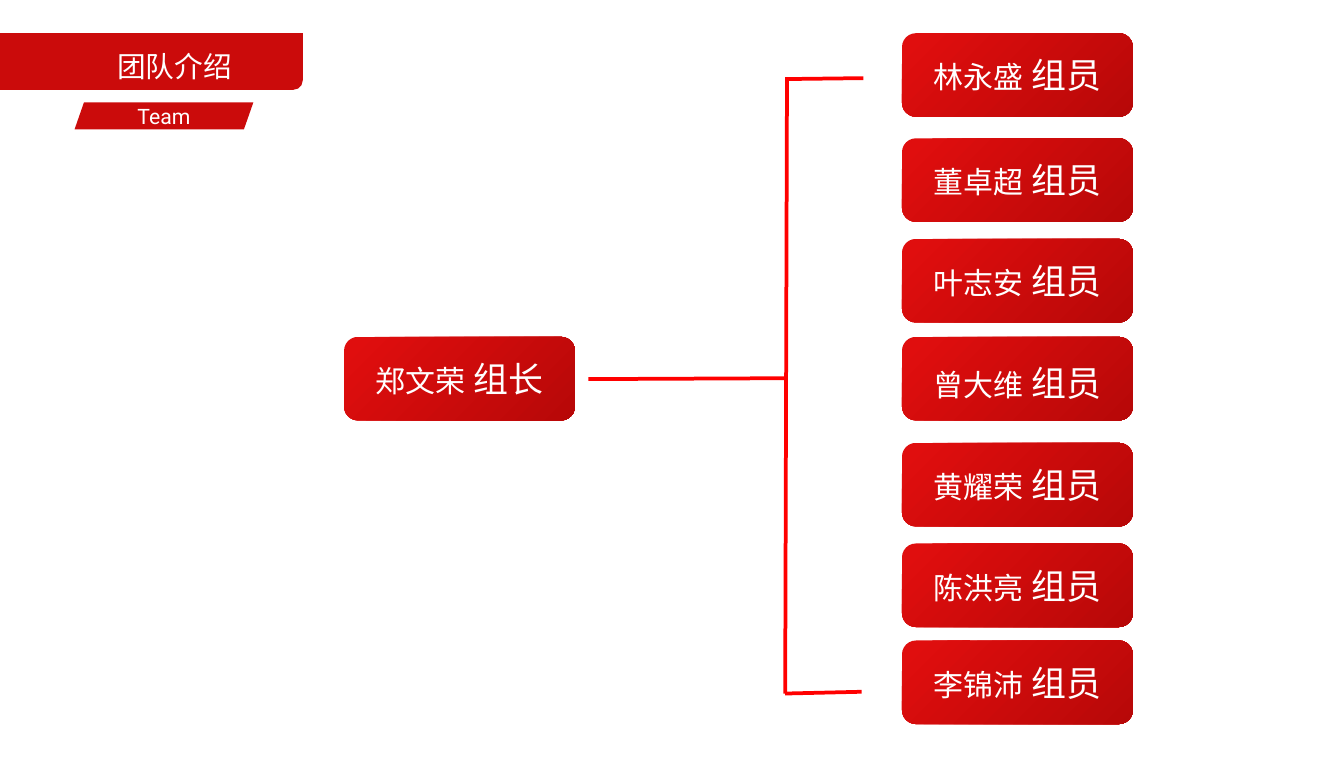
from lxml.etree import SubElement
from pptx import Presentation
from pptx.dml.color import RGBColor
from pptx.enum.shapes import MSO_CONNECTOR, MSO_SHAPE
from pptx.enum.text import MSO_ANCHOR, PP_ALIGN
from pptx.oxml.ns import qn
from pptx.util import Inches, Pt

WHITE = RGBColor(0xFF, 0xFF, 0xFF)
RED = RGBColor(0xCB, 0x0B, 0x0B)
LIGHT = RGBColor(0xE0, 0x0E, 0x0E)
DARK = RGBColor(0xB7, 0x08, 0x08)
BRIGHT = RGBColor(0xFF, 0x00, 0x00)
HAN = "Noto Sans CJK SC"
LATIN = "Roboto"


def write(para, text, size=24, font=HAN, color=WHITE):
    """Add one run of text in the given format."""
    run = para.add_run()
    run.text = text
    run.font.size = Pt(size)
    run.font.color.rgb = color
    run.font.name = font
    SubElement(run.font._element, qn("a:ea"), typeface=font)


class Board:
    """Holds the line style and the slide being built."""

    def __init__(self, slide, color=BRIGHT, width=3):
        self.slide = slide
        self.color = color
        self.width = Pt(width)

    def group(self):
        return self.slide.shapes.add_group_shape().shapes

    def shape(self, home, kind, box, fill=None):
        item = home.add_shape(kind, *map(Inches, box))
        item.shadow.inherit = False
        item.line.fill.background()
        if fill:
            item.fill.solid()
            item.fill.fore_color.rgb = fill
        else:
            item.fill.gradient()
            item.fill.gradient_angle = 315
            stops = zip(item.fill.gradient_stops, (LIGHT, DARK), (0.05, 1))
            for stop, color, place in stops:
                stop.color.rgb = color
                stop.position = place
        return item

    def text(self, home, box, *runs):
        frame = home.add_textbox(*map(Inches, box)).text_frame
        frame.word_wrap = True
        para = frame.paragraphs[0]
        para.alignment = PP_ALIGN.CENTER
        for words, size in runs:
            write(para, words, size=size)

    def card(self, left, top, name, role, drop=0.18):
        home = self.group()
        self.shape(home, MSO_SHAPE.FLOWCHART_ALTERNATE_PROCESS,
                   (left, top, 2.57, 0.93))
        self.text(home, (left + 0.13, top + drop, 2.31, 0.57),
                  (name, 24), (" " + role, 28))

    def line(self, home, start, end):
        item = home.add_connector(MSO_CONNECTOR.STRAIGHT,
                                  *map(Inches, start + end))
        item.line.color.rgb = self.color
        item.line.width = self.width
        SubElement(item._element.spPr, qn("a:effectLst"))


def main():
    deck = Presentation()
    deck.slide_width = Inches(14.96)
    deck.slide_height = Inches(8.66)
    slide = deck.slides.add_slide(deck.slide_layouts[6])
    board = Board(slide)

    # Team leader
    board.card(3.83, 3.75, "郑文荣", "组长")

    # English label
    label = board.shape(slide.shapes, MSO_SHAPE.PARALLELOGRAM,
                        (0.83, 1.14, 1.99, 0.3), RED)
    label.adjustments[0] = 0.35
    frame = label.text_frame
    frame.margin_left = frame.margin_right = Inches(0.05)
    frame.margin_top = frame.margin_bottom = Inches(0.03)
    frame.vertical_anchor = MSO_ANCHOR.MIDDLE
    frame.paragraphs[0].alignment = PP_ALIGN.CENTER
    write(frame.paragraphs[0], "Team", size=17, font=LATIN)

    # Slide title
    title = board.group()
    board.shape(title, MSO_SHAPE.ROUND_2_DIAG_RECTANGLE,
                (-0.38, 0.37, 3.75, 0.63), RED)
    board.text(title, (0.72, 0.49, 2.45, 0.49), ("团队介绍", 23))

    # Team members
    crew = [
        ("李锦沛", 7.13, 0.18),
        ("陈洪亮", 6.05, 0.18),
        ("黄耀荣", 4.93, 0.18),
        ("曾大维", 3.75, 0.23),
        ("叶志安", 2.66, 0.18),
        ("董卓超", 1.54, 0.18),
        ("林永盛", 0.37, 0.18),
    ]
    for name, top, drop in crew:
        board.card(10.04, top, name, "组员", drop=drop)

    # Bracket from leader to members
    home = board.group()
    board.line(home, (6.55, 4.22), (8.75, 4.21))
    board.line(home, (8.74, 7.72), (8.76, 0.86))
    board.line(home, (8.76, 0.88), (9.61, 0.87))
    board.line(home, (8.74, 7.72), (9.59, 7.7))

    deck.save("out.pptx")


if __name__ == "__main__":
    main()
